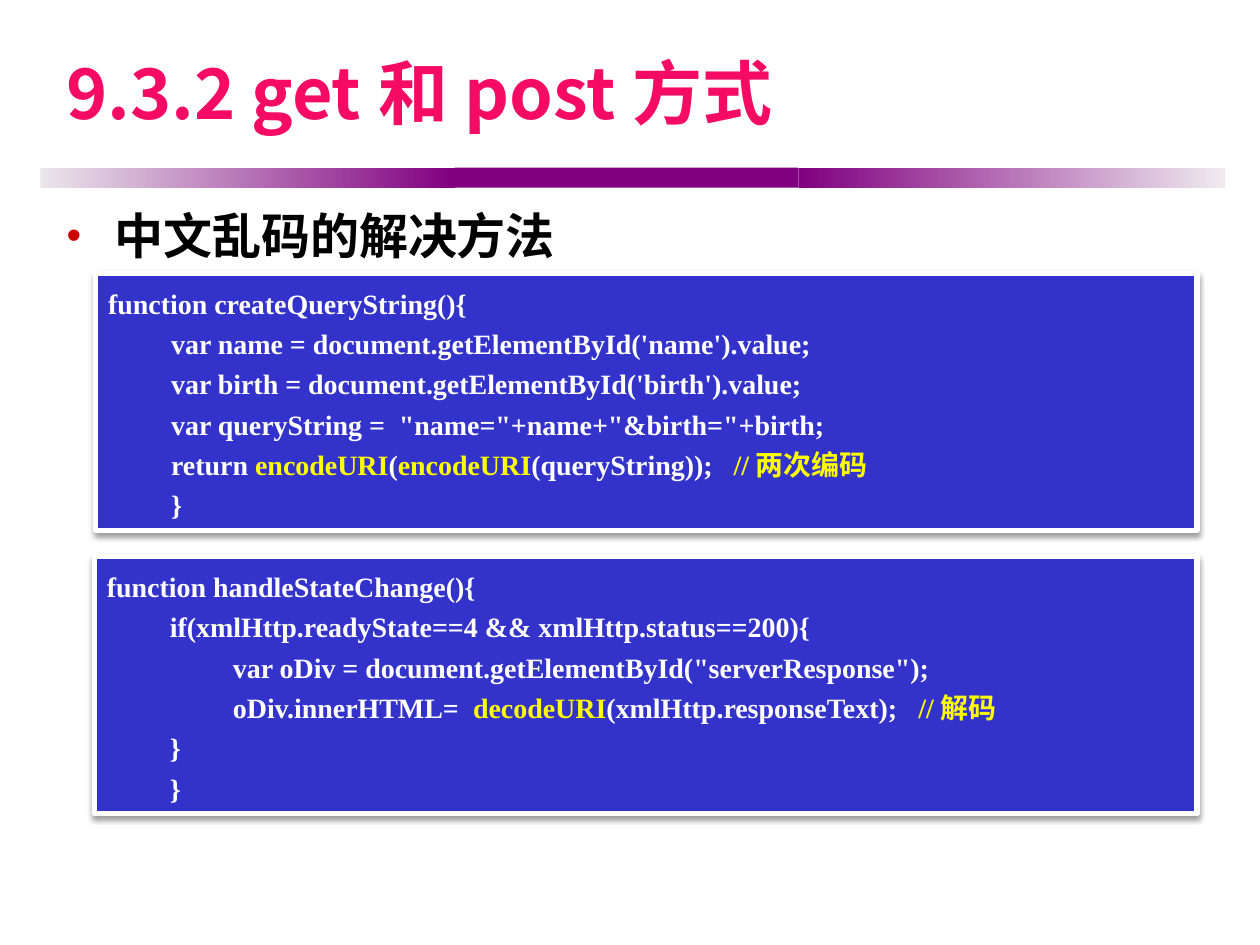
from dataclasses import dataclass

from lxml import etree
from pptx import Presentation
from pptx.dml.color import RGBColor
from pptx.enum import shapes, text
from pptx.oxml import ns
from pptx.util import Emu, Inches, Pt


@dataclass(frozen=True)
class Theme:
    title: str = "F50A64"
    body: str = "000000"
    bullet: str = "CC0000"
    band: str = "800080"
    fade_left: str = "EBE6EB"
    fade_right: str = "EFEAEF"
    panel: str = "3333CC"
    code: str = "FFFFFF"
    accent: str = "FFFF00"
    shadow: str = "000000"
    title_size: int = 40
    body_size: int = 28
    code_size: int = 16
    code_spacing: float = 1.2
    sans: str = "Noto Sans CJK SC"
    serif: str = "Times New Roman"


THEME = Theme()
WIDTH, HEIGHT = Inches(10), Inches(7.5)
INDENT = Inches(0.5)

CREATE_QUERY = [
    (0, "function createQueryString(){"),
    (1, "var name = document.getElementById('name').value;"),
    (1, "var birth = document.getElementById('birth').value;"),
    (1, 'var queryString =  "name="+name+"&birth="+birth;'),
    (1, "return |encodeURI|(|encodeURI|(queryString));   |//两次编码"),
    (1, "}"),
]
HANDLE_STATE = [
    (0, "function handleStateChange(){"),
    (1, "if(xmlHttp.readyState==4 && xmlHttp.status==200){"),
    (2, 'var oDiv = document.getElementById("serverResponse");'),
    (2, "oDiv.innerHTML=  |decodeURI|(xmlHttp.responseText);   |//解码"),
    (1, "}"),
    (1, "}"),
]


def share(left, top, width, height):
    return [Emu(round(part * whole)) for part, whole in
            zip((left, top, width, height), (WIDTH, HEIGHT) * 2)]


def rgb(color):
    return RGBColor.from_string(color)


def style(r, size, color, font):
    r.font.size, r.font.bold, r.font.name = Pt(size), True, font
    r.font.color.rgb = rgb(color)
    ea = etree.SubElement(r._r.get_or_add_rPr(), ns.qn("a:ea"))
    ea.set("typeface", THEME.sans)


def add_line(s, box, words, size, color, font, anchor):
    tf = s.shapes.add_textbox(*box).text_frame
    tf.word_wrap, tf.vertical_anchor = True, anchor
    p = tf.paragraphs[0]
    p.text = words
    style(p.runs[0], size, color, font)
    return p


def add_title(s, box):
    add_line(s, box, "9.3.2 get和post方式", THEME.title_size, THEME.title,
             THEME.sans, text.MSO_ANCHOR.MIDDLE)


def add_bullet(s, box):
    p = add_line(s, box, "中文乱码的解决方法", THEME.body_size, THEME.body,
                 THEME.serif, text.MSO_ANCHOR.TOP)
    pPr = p._p.get_or_add_pPr()
    pPr.set("marL", str(Inches(0.38)))
    pPr.set("indent", str(-Inches(0.38)))
    before = etree.SubElement(pPr, ns.qn("a:spcBef"))
    etree.SubElement(before, ns.qn("a:spcPct")).set("val", "20000")
    color = etree.SubElement(pPr, ns.qn("a:buClr"))
    etree.SubElement(color, ns.qn("a:srgbClr")).set("val", THEME.bullet)
    etree.SubElement(pPr, ns.qn("a:buSzPct")).set("val", "85000")
    etree.SubElement(pPr, ns.qn("a:buFont")).set("typeface", "Arial")
    etree.SubElement(pPr, ns.qn("a:buChar")).set("char", "•")


def add_band(s, box):
    left, top, width, height = box
    parts = [(0.35, THEME.fade_left, THEME.band),
             (0.29, THEME.band, THEME.band),
             (0.36, THEME.band, THEME.fade_right)]
    for portion, start, end in parts:
        part_width = Emu(round(width * portion))
        sp = s.shapes.add_shape(shapes.MSO_SHAPE.RECTANGLE,
                                left, top, part_width, height)
        sp.shadow.inherit = False
        sp.line.fill.background()
        if start == end:
            sp.fill.solid()
            sp.fill.fore_color.rgb = rgb(start)
        else:
            sp.fill.gradient()
            sp.fill.gradient_angle = 0
            for stop, color in zip(sp.fill.gradient_stops, (start, end)):
                stop.color.rgb = rgb(color)
        left += part_width


def add_shadow(sp):
    sp.shadow.inherit = False
    effects = sp._element.spPr.find(ns.qn("a:effectLst"))
    outer = etree.SubElement(effects, ns.qn("a:outerShdw"), blurRad=str(Pt(3.1)),
                             dist=str(Pt(1.6)), dir="5400000", rotWithShape="0")
    color = etree.SubElement(outer, ns.qn("a:srgbClr"), val=THEME.shadow)
    etree.SubElement(color, ns.qn("a:alpha"), val="38000")


def add_code(s, box, lines):
    sp = s.shapes.add_shape(shapes.MSO_SHAPE.RECTANGLE, *box)
    sp.fill.solid()
    sp.fill.fore_color.rgb = rgb(THEME.panel)
    sp.line.color.rgb, sp.line.width = rgb(THEME.code), Pt(3)
    add_shadow(sp)
    tf = sp.text_frame
    tf.word_wrap, tf.vertical_anchor = True, text.MSO_ANCHOR.TOP
    for i, (level, line) in enumerate(lines):
        p = tf.add_paragraph() if i else tf.paragraphs[0]
        p.alignment, p.line_spacing = text.PP_ALIGN.LEFT, THEME.code_spacing
        p._p.get_or_add_pPr().set("marL", str(level * INDENT))
        for j, piece in enumerate(line.split("|")):
            r = p.add_run()
            r.text = piece
            style(r, THEME.code_size, THEME.accent if j % 2 else THEME.code,
                  THEME.serif)


def main():
    prs = Presentation()
    prs.slide_width, prs.slide_height = WIDTH, HEIGHT
    s = prs.slides.add_slide(prs.slide_layouts[6])
    add_band(s, share(0.032, 0.1773, 0.94, 0.0213))
    add_title(s, share(0.043, 0.0227, 0.906, 0.148))
    add_bullet(s, share(0.043, 0.2107, 0.921, 0.0893))
    add_code(s, share(0.075, 0.5893, 0.875, 0.272), HANDLE_STATE)
    add_code(s, share(0.076, 0.2893, 0.874, 0.272), CREATE_QUERY)
    prs.save("out.pptx")


if __name__ == "__main__":
    main()
